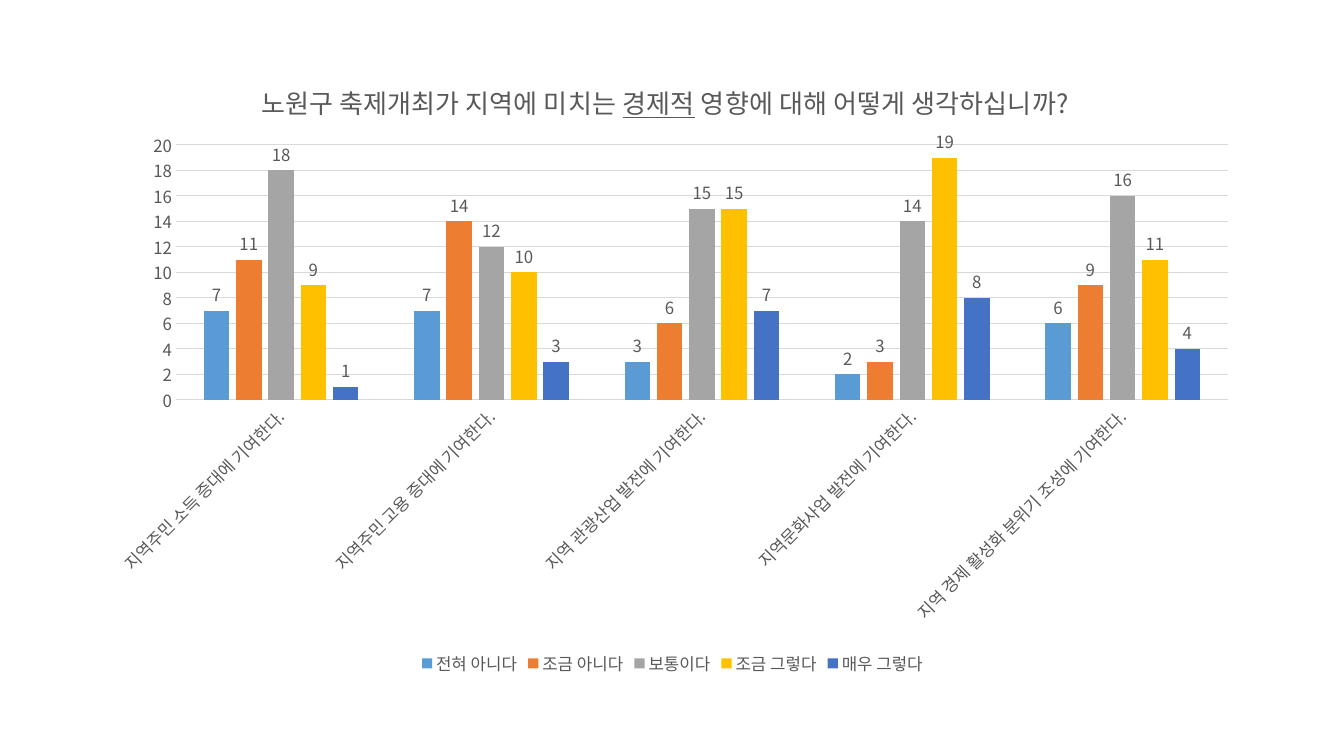
from dataclasses import dataclass

from lxml.etree import Element, SubElement
from pptx import Presentation
from pptx.chart.data import CategoryChartData
from pptx.dml.color import RGBColor
from pptx.enum.chart import XL_CHART_TYPE, XL_LABEL_POSITION, XL_LEGEND_POSITION, XL_TICK_MARK
from pptx.oxml.ns import qn
from pptx.util import Emu, Pt

EMU_PER_PX = 914400 / 100.8
FONT = "Noto Sans CJK KR"
TEXT_GREY = "595959"
LINE_GREY = "D9D9D9"


@dataclass(frozen=True)
class Answer:
    name: str
    counts: tuple[int, ...]
    color: str


@dataclass(frozen=True)
class Frame:
    left: int
    top: int
    width: int
    height: int


STATEMENTS = (
    "지역주민 소득 증대에 기여한다.",
    "지역주민 고용 증대에 기여한다.",
    "지역 관광산업 발전에 기여한다.",
    "지역문화사업 발전에 기여한다.",
    "지역 경제 활성화 분위기 조성에 기여한다.",
)
ANSWERS = (
    Answer("전혀 아니다", (7, 7, 3, 2, 6), "5B9BD5"),
    Answer("조금 아니다", (11, 14, 6, 3, 9), "ED7D31"),
    Answer("보통이다", (18, 12, 15, 14, 16), "A5A5A5"),
    Answer("조금 그렇다", (9, 10, 15, 19, 11), "FFC000"),
    Answer("매우 그렇다", (1, 3, 7, 8, 4), "4472C4"),
)
QUESTION = (
    ("노원구 축제개최가 지역에 미치는 ", False),
    ("경제적", True),
    (" 영향에 대해 어떻게 생각하십니까?", False),
)
CHART_FRAME = Frame(93, 53, 1159, 627)
PLOT_FRAME = Frame(176, 145, 1052, 255)
QUESTION_FRAME = Frame(258, 78, 827, 38)


def px(length: int) -> Emu:
    return Emu(round(length * EMU_PER_PX))


def rgb(color: str) -> RGBColor:
    return RGBColor.from_string(color)


def set_format(target, values: dict) -> None:
    for name, value in values.items():
        setattr(target, name, value)


def style_font(font, size: float = 12, underline: bool = False) -> None:
    set_format(font, {"name": FONT, "size": Pt(size), "bold": False})
    if underline:
        font.underline = True
    font.color.rgb = rgb(TEXT_GREY)
    east_asian = Element(qn("a:ea"), typeface=FONT)
    font._element.find(qn("a:latin")).addnext(east_asian) if hasattr(font, "_element") \
        else font._rPr.find(qn("a:latin")).addnext(east_asian)


def style_line(line) -> None:
    line.color.rgb = rgb(LINE_GREY)
    line.width = Pt(0.75)


def place(part, frame: Frame, index: int, is_plot: bool = False) -> None:
    """Fix a chart part at a frame, as fractions of the chart."""
    for old_layout in part.findall(qn("c:layout")):
        part.remove(old_layout)
    layout = Element(qn("c:layout"))
    part.insert(index, layout)
    manual = SubElement(layout, qn("c:manualLayout"))
    values = {"layoutTarget": "inner"} if is_plot else {}
    values |= {
        "xMode": "edge",
        "yMode": "edge",
        "x": (frame.left - CHART_FRAME.left) / CHART_FRAME.width,
        "y": (frame.top - CHART_FRAME.top) / CHART_FRAME.height,
    }
    if is_plot:
        values |= {
            "w": frame.width / CHART_FRAME.width,
            "h": frame.height / CHART_FRAME.height,
        }
    for tag, value in values.items():
        SubElement(manual, qn(f"c:{tag}"), val=str(value))


def add_survey_chart(slide):
    survey = CategoryChartData()
    survey.categories = STATEMENTS
    for answer in ANSWERS:
        survey.add_series(answer.name, answer.counts)
    frame = CHART_FRAME
    return slide.shapes.add_chart(
        XL_CHART_TYPE.COLUMN_CLUSTERED,
        px(frame.left), px(frame.top), px(frame.width), px(frame.height), survey,
    ).chart


def style_question(chart) -> None:
    chart.has_title = True
    paragraph = chart.chart_title.text_frame.paragraphs[0]
    for text, underline in QUESTION:
        run = paragraph.add_run()
        run.text = text
        style_font(run.font, 18.6, underline)
    place(chart._chartSpace.xpath("c:chart/c:title")[0], QUESTION_FRAME, 1)


def style_columns(chart) -> None:
    columns = chart.plots[0]
    set_format(columns, {
        "gap_width": 219, "overlap": -27, "vary_by_categories": False, "has_data_labels": True,
    })
    set_format(columns.data_labels, {
        "show_value": True, "position": XL_LABEL_POSITION.OUTSIDE_END,
    })
    style_font(columns.data_labels.font)
    for series, answer in zip(columns.series, ANSWERS):
        series.format.fill.solid()
        series.format.fill.fore_color.rgb = rgb(answer.color)
        series.invert_if_negative = False
    place(chart._chartSpace.xpath("c:chart/c:plotArea")[0], PLOT_FRAME, 0, is_plot=True)


def style_axes(chart) -> None:
    statements, counts = chart.category_axis, chart.value_axis
    for axis in (statements, counts):
        set_format(axis, {
            "major_tick_mark": XL_TICK_MARK.NONE, "minor_tick_mark": XL_TICK_MARK.NONE,
        })
        style_font(axis.tick_labels.font)
    style_line(statements.format.line)
    statements._element.xpath("c:txPr/a:bodyPr")[0].set("rot", "-2700000")
    set_format(counts, {
        "minimum_scale": 0, "maximum_scale": 20, "major_unit": 2, "has_major_gridlines": True,
    })
    counts.format.line.fill.background()
    style_line(counts.major_gridlines.format.line)


def style_legend(chart) -> None:
    chart.has_legend = True
    set_format(chart.legend, {
        "position": XL_LEGEND_POSITION.BOTTOM, "include_in_layout": False,
    })
    style_font(chart.legend.font)


def main() -> None:
    deck = Presentation()
    set_format(deck, {"slide_width": px(1344), "slide_height": px(756)})
    # The chart carries its own title, so the slide is blank
    slide = deck.slides.add_slide(deck.slide_layouts[6])
    chart = add_survey_chart(slide)
    set_format(chart.font, {"name": FONT, "size": Pt(10)})
    for style_part in (style_question, style_columns, style_axes, style_legend):
        style_part(chart)
    deck.save("out.pptx")


if __name__ == "__main__":
    main()
